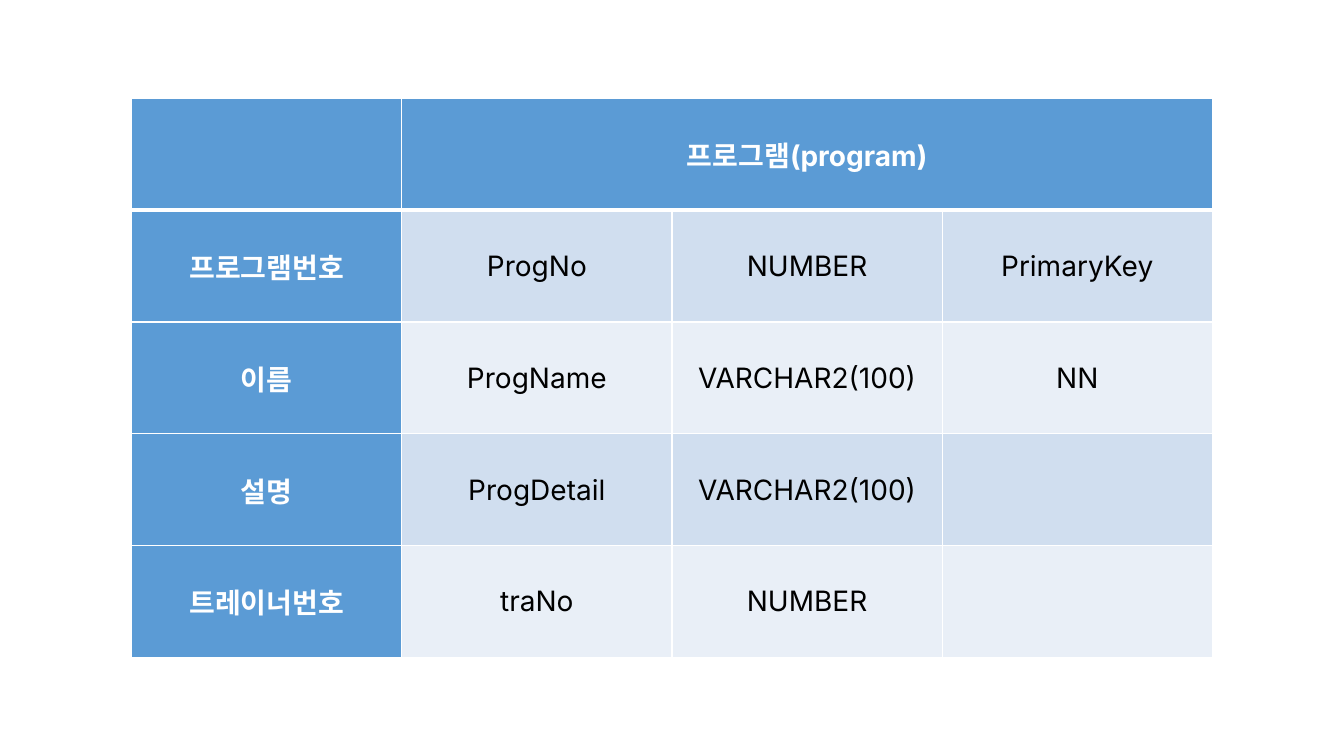
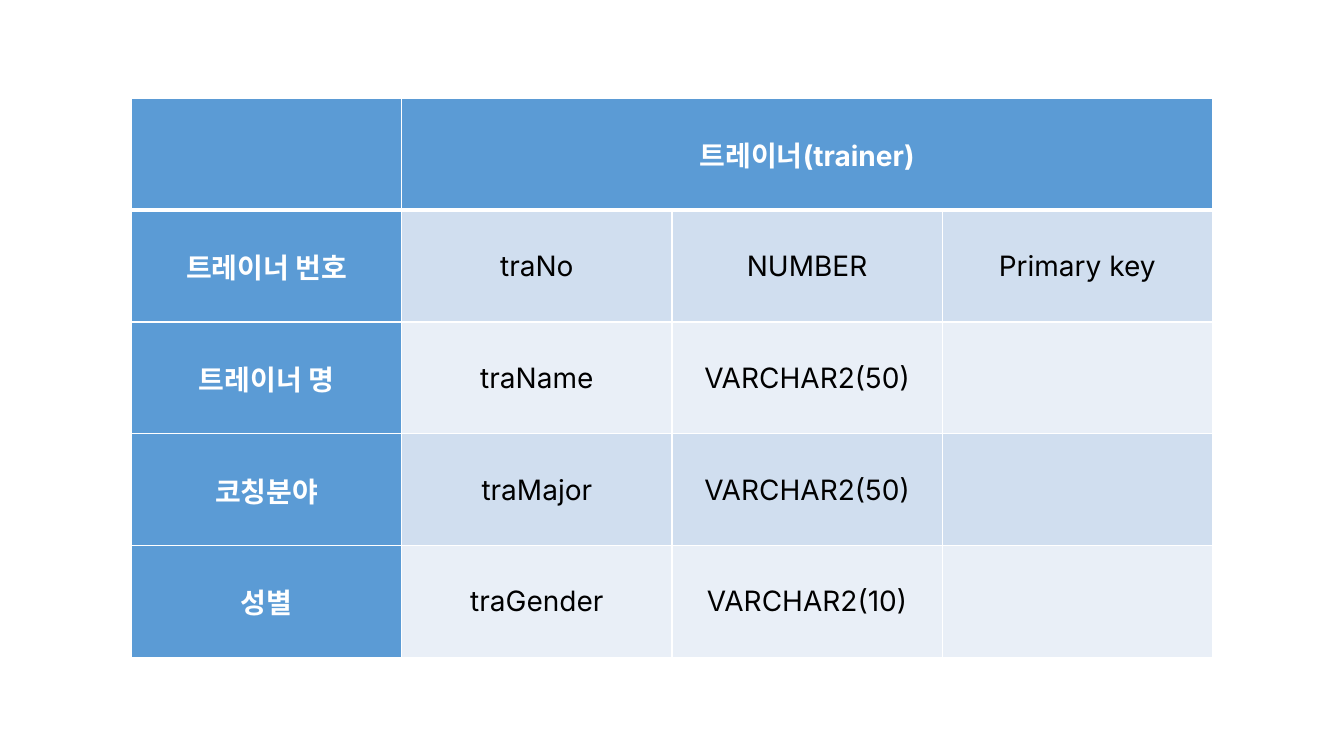
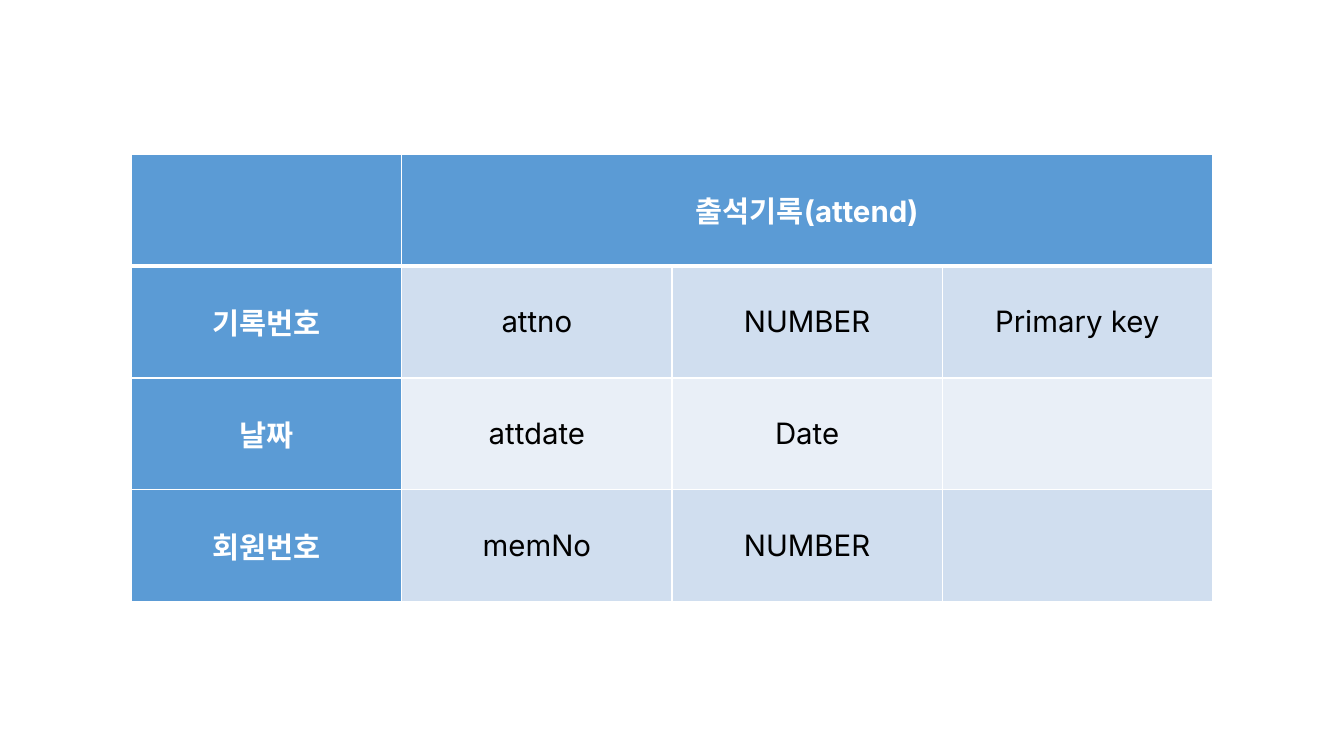
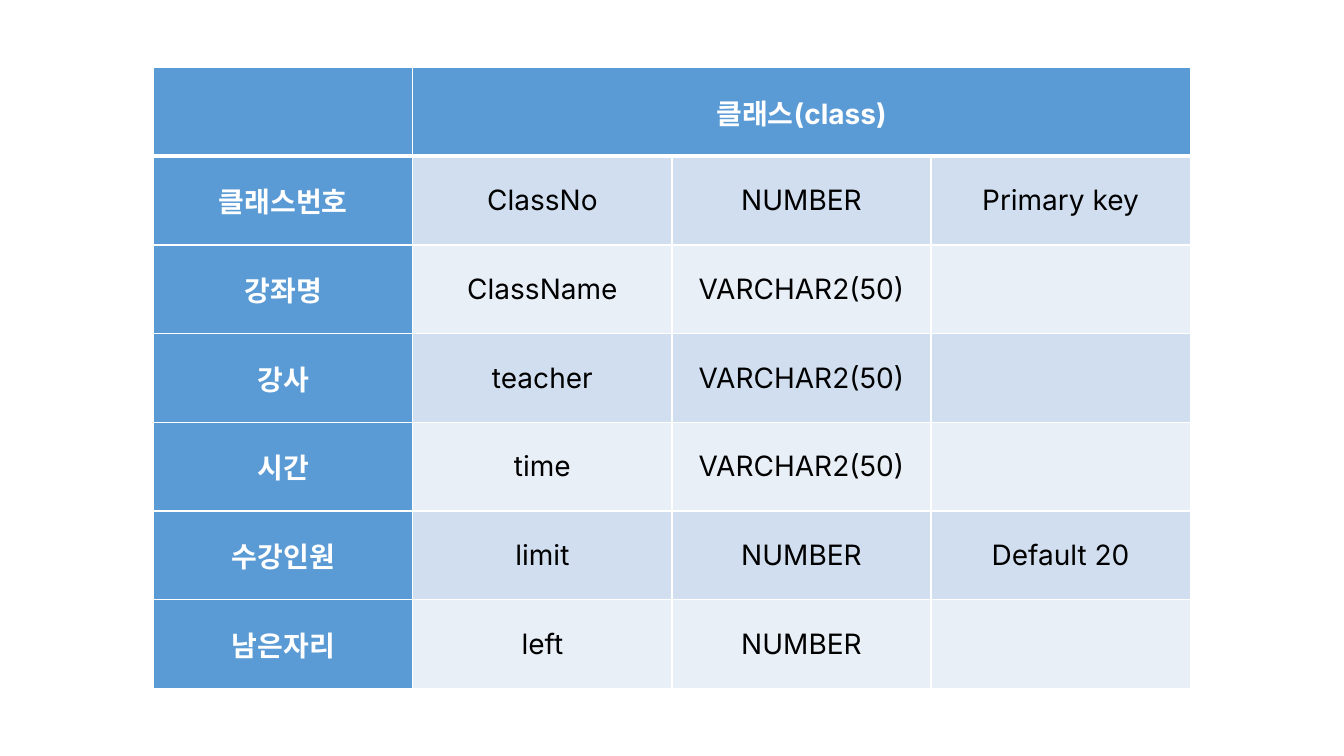
from pptx import Presentation
from pptx.dml.color import RGBColor
from pptx.enum.text import MSO_ANCHOR, PP_ALIGN
from pptx.oxml.ns import qn
from pptx.util import Inches, Pt
from lxml import etree

MIDDLE = MSO_ANCHOR.MIDDLE
CENTER = PP_ALIGN.CENTER

# Shared look
FONT = "Inter"
WHITE = RGBColor(0xFF, 0xFF, 0xFF)
BLACK = RGBColor(0x00, 0x00, 0x00)
HEADER_BLUE = RGBColor(0x5B, 0x9B, 0xD5)
BAND_DARK = RGBColor(0xD0, 0xDE, 0xEF)
BAND_LIGHT = RGBColor(0xE9, 0xEF, 0xF7)
THIN, THICK = 1, 3
SLIDE_WIDTH, SLIDE_HEIGHT = 13.33, 7.5
BLANK_LAYOUT = 6
COLUMNS = 4

# Each entity: title, column width, row height, text size, fields
ENTITIES = [
    ("프로그램(program)", 2.68, 1.11, 20, [
        ("프로그램번호", "ProgNo", "NUMBER", "PrimaryKey"),
        ("이름", "ProgName", "VARCHAR2(100)", "NN"),
        ("설명", "ProgDetail", "VARCHAR2(100)", ""),
        ("트레이너번호", "traNo", "NUMBER", ""),
    ]),
    ("트레이너(trainer)", 2.68, 1.11, 20, [
        ("트레이너 번호", "traNo", "NUMBER", "Primary key"),
        ("트레이너 명", "traName", "VARCHAR2(50)", ""),
        ("코칭분야", "traMajor", "VARCHAR2(50)", ""),
        ("성별", "traGender", "VARCHAR2(10)", ""),
    ]),
    ("출석기록(attend)", 2.68, 1.11, 21, [
        ("기록번호", "attno", "NUMBER", "Primary key"),
        ("날짜", "attdate", "Date", ""),
        ("회원번호", "memNo", "NUMBER", ""),
    ]),
    ("클래스(class)", 2.57, 0.88, 20, [
        ("클래스번호", "ClassNo", "NUMBER", "Primary key"),
        ("강좌명", "ClassName", "VARCHAR2(50)", ""),
        ("강사", "teacher", "VARCHAR2(50)", ""),
        ("시간", "time", "VARCHAR2(50)", ""),
        ("수강인원", "limit", "NUMBER", "Default 20"),
        ("남은자리", "left", "NUMBER", ""),
    ]),
]


def set_borders(cell, top, bottom):
    """Draw white cell borders; only the top and bottom widths vary."""
    properties = cell._tc.get_or_add_tcPr()
    widths = {"a:lnL": THIN, "a:lnR": THIN, "a:lnT": top, "a:lnB": bottom}
    for tag, width in widths.items():
        line = etree.SubElement(properties, qn(tag), w=str(Pt(width)))
        fill = etree.SubElement(line, qn("a:solidFill"))
        etree.SubElement(fill, qn("a:srgbClr"), val=str(WHITE))


def write_cell(cell, text, size, color, bold):
    cell.vertical_anchor = MIDDLE
    cell.margin_left = cell.margin_right = 0
    cell.margin_top = cell.margin_bottom = 0
    if not text:
        return
    paragraph = cell.text_frame.paragraphs[0]
    paragraph.alignment = CENTER
    run = paragraph.add_run()
    run.text = text
    run.font.name = FONT
    run.font.size = Pt(size)
    run.font.color.rgb = color
    run.font.bold = bold


def add_entity_table(slide, box, title, size, fields):
    """Fill the box with a title row and one row per field."""
    rows = [("", title, "", "")] + fields
    table = slide.shapes.add_table(len(rows), COLUMNS, *map(Inches, box)).table
    table.first_row = table.horz_banding = False
    table.cell(0, 1).merge(table.cell(0, COLUMNS - 1))

    for row_index, texts in enumerate(rows):
        for column_index, text in enumerate(texts):
            cell = table.cell(row_index, column_index)
            is_title = row_index == 0
            is_header = is_title or column_index == 0
            # The heavy rule runs between the title and the fields
            below_title = row_index == 1 and not is_header
            set_borders(cell, THICK if below_title else THIN,
                        THICK if is_title else THIN)
            band = BAND_DARK if row_index % 2 else BAND_LIGHT
            cell.fill.solid()
            cell.fill.fore_color.rgb = HEADER_BLUE if is_header else band
            write_cell(cell, text, size, WHITE if is_header else BLACK, is_header)


def add_entity_slide(presentation, title, column_width, row_height, size, fields):
    """Centre one entity table on a blank slide."""
    slide = presentation.slides.add_slide(presentation.slide_layouts[BLANK_LAYOUT])
    width = COLUMNS * column_width
    height = (len(fields) + 1) * row_height
    box = ((SLIDE_WIDTH - width) / 2, (SLIDE_HEIGHT - height) / 2, width, height)
    add_entity_table(slide, box, title, size, fields)


presentation = Presentation()
presentation.slide_width = Inches(SLIDE_WIDTH)
presentation.slide_height = Inches(SLIDE_HEIGHT)
for entity in ENTITIES:
    add_entity_slide(presentation, *entity)
presentation.save("out.pptx")
